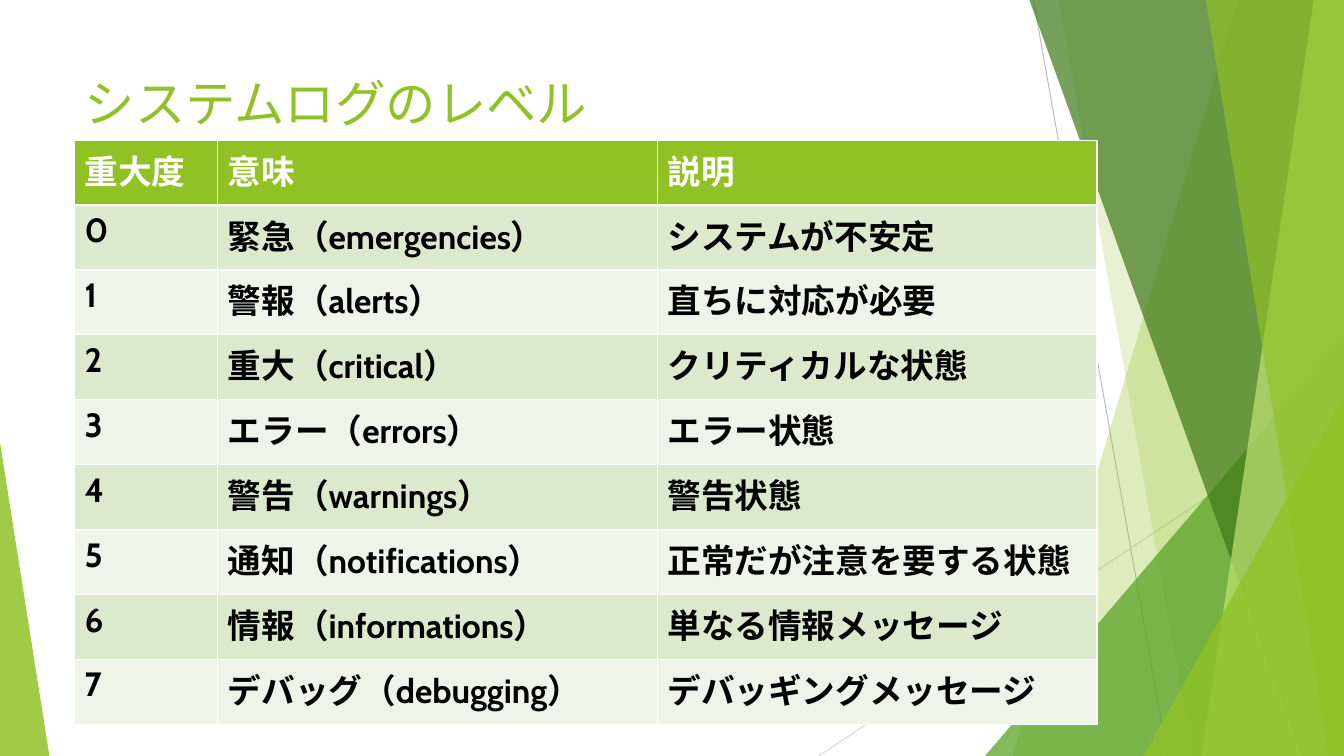
from typing import NamedTuple

from lxml import etree
from pptx import Presentation
from pptx.dml.color import RGBColor
from pptx.enum.shapes import MSO_CONNECTOR, MSO_SHAPE
from pptx.enum.text import MSO_ANCHOR, PP_ALIGN
from pptx.oxml.ns import qn
from pptx.util import Pt

PX = 9144  # 100 px to the inch
WIDE, HIGH = 1333, 750
FONT = "Cabin"
STRAIGHT = MSO_CONNECTOR.STRAIGHT
TRIANGLE = MSO_SHAPE.ISOSCELES_TRIANGLE
TOP, LEFT = MSO_ANCHOR.TOP, PP_ALIGN.LEFT
COLORS = {
    "lime": "90C226", "green": "54A021", "dark": "3F7819", "pale": "C0E474",
    "gray": "BFBFBF", "silver": "D9D9D9", "white": "FFFFFF", "black": "000000",
    "even": "EEF4E8", "odd": "DBE9CD",
}


class Line(NamedTuple):
    x1: int
    y1: int
    x2: int
    y2: int
    color: str


class Band(NamedTuple):
    """A strip reaching the right edge, with its left side from head to foot."""
    head: int
    foot: int
    color: str
    alpha: int


class Wedge(NamedTuple):
    x: int
    y: int
    width: int
    height: int
    apex: int
    color: str
    alpha: int


LINES = [
    Line(1025, 0, 1158, HIGH, "gray"),
    Line(WIDE, 403, 812, HIGH, "silver"),
]
PANES = [
    Band(1228, 1004, "lime", 30),
    Band(1050, 1183, "lime", 20),
    Wedge(977, 333, 356, 417, 1, "green", 72),
    Band(1021, 1291, "dark", 70),
    Band(1303, 1192, "pale", 70),
    Band(1196, 1318, "lime", 65),
    Wedge(1134, 393, 199, 357, 1, "lime", 80),
    Wedge(0, 439, 49, 311, 0, "lime", 85),
]
COLUMNS = [142, 436, 436]
HEADER = ("重大度", "意味", "説明")
LEVELS = [
    ("緊急（emergencies）", "システムが不安定"),
    ("警報（alerts）", "直ちに対応が必要"),
    ("重大（critical）", "クリティカルな状態"),
    ("エラー（errors）", "エラー状態"),
    ("警告（warnings）", "警告状態"),
    ("通知（notifications）", "正常だが注意を要する状態"),
    ("情報（informations）", "単なる情報メッセージ"),
    ("デバッグ（debugging）", "デバッギングメッセージ"),
]


def rgb(name: str) -> RGBColor:
    return RGBColor.from_string(COLORS[name])


def draw_line(shapes, line: Line) -> None:
    ends = [v * PX for v in line[:4]]
    rule = shapes.add_connector(STRAIGHT, *ends)
    rule.line.color.rgb = rgb(line.color)
    rule.line.width = Pt(0.75)
    etree.SubElement(rule._element.spPr, qn("a:effectLst"))


def paint(shape, color: str, alpha: int) -> None:
    shape.shadow.inherit = False
    shape.line.fill.background()
    shape.fill.solid()
    shape.fill.fore_color.rgb = rgb(color)
    tint = shape._element.spPr.find(qn("a:solidFill"))[0]
    etree.SubElement(tint, qn("a:alpha"), val=str(alpha * 1000))


def draw_band(shapes, band: Band) -> None:
    path = shapes.build_freeform(band.head, 0, scale=PX)
    path.add_line_segments([(WIDE, 0), (WIDE, HIGH), (band.foot, HIGH)])
    paint(path.convert_to_shape(), band.color, band.alpha)


def draw_wedge(shapes, wedge: Wedge) -> None:
    shape = shapes.add_shape(TRIANGLE, *(v * PX for v in wedge[:4]))
    shape.adjustments[0] = wedge.apex
    paint(shape, wedge.color, wedge.alpha)


def write(frame, text: str, size: int, color: str, bold: bool) -> None:
    frame.text = text
    para = frame.paragraphs[0]
    para.alignment = LEFT
    font = para.font
    font.name, font.size, font.bold = FONT, Pt(size), bold
    font.color.rgb = rgb(color)


def set_title(title, text: str) -> None:
    title.left, title.top = 74 * PX, 67 * PX
    title.width, title.height = 940 * PX, 144 * PX
    title.text_frame.vertical_anchor = TOP
    write(title.text_frame, text, 36, "lime", False)


def draw_table(shapes) -> None:
    rows = [HEADER] + [(str(n), *level) for n, level in enumerate(LEVELS)]
    box = (74 * PX, 139 * PX, sum(COLUMNS) * PX, 580 * PX)
    table = shapes.add_table(len(rows), len(COLUMNS), *box).table
    for column, width in zip(table.columns, COLUMNS):
        column.width = width * PX
    for r, row in enumerate(rows):
        fill = "lime" if r == 0 else "odd" if r % 2 else "even"
        ink = "black" if r else "white"
        for c, text in enumerate(row):
            cell = table.cell(r, c)
            cell.fill.solid()
            cell.fill.fore_color.rgb = rgb(fill)
            write(cell.text_frame, text, 24, ink, True)


def main() -> None:
    deck = Presentation()
    deck.slide_width, deck.slide_height = WIDE * PX, HIGH * PX
    slide = deck.slides.add_slide(deck.slide_layouts[5])
    shapes = slide.shapes
    for line in LINES:
        draw_line(shapes, line)
    for pane in PANES:
        if isinstance(pane, Band):
            draw_band(shapes, pane)
        else:
            draw_wedge(shapes, pane)
    set_title(shapes.title, "システムログのレベル")
    draw_table(shapes)
    deck.save("out.pptx")


if __name__ == "__main__":
    main()
